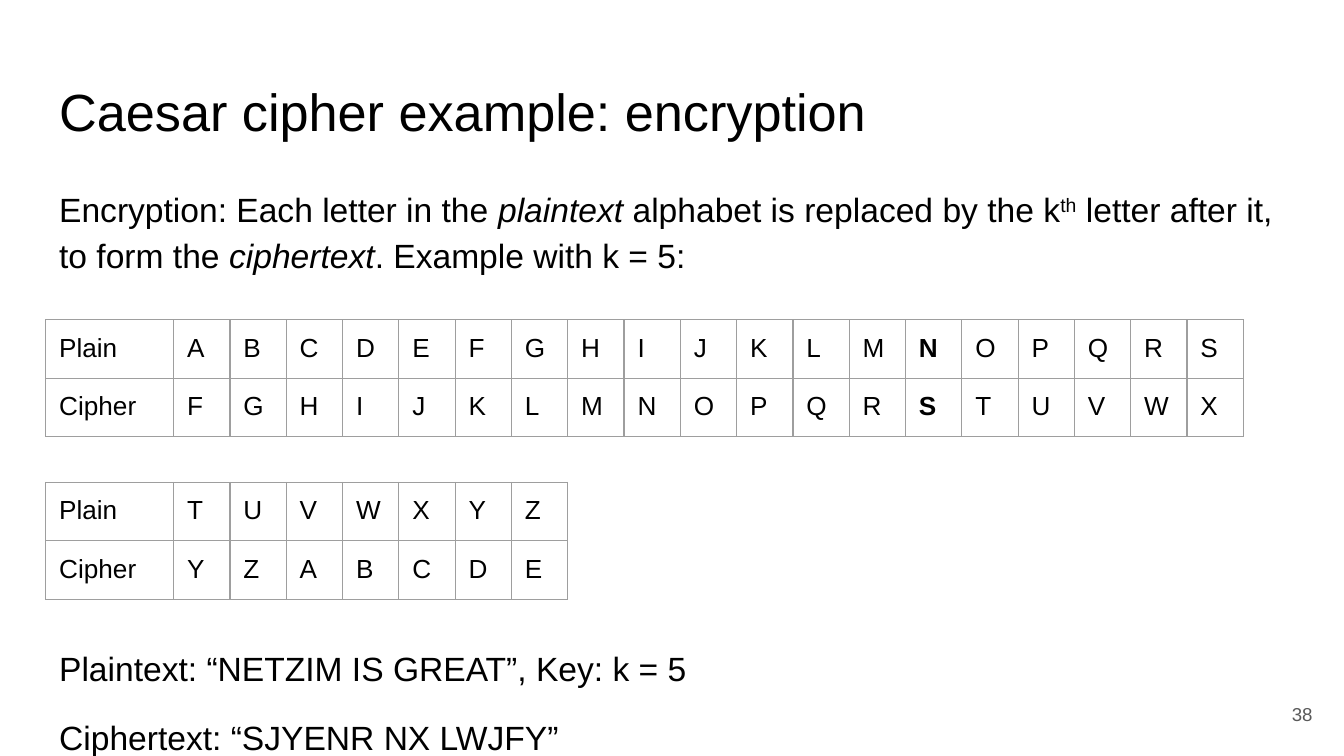
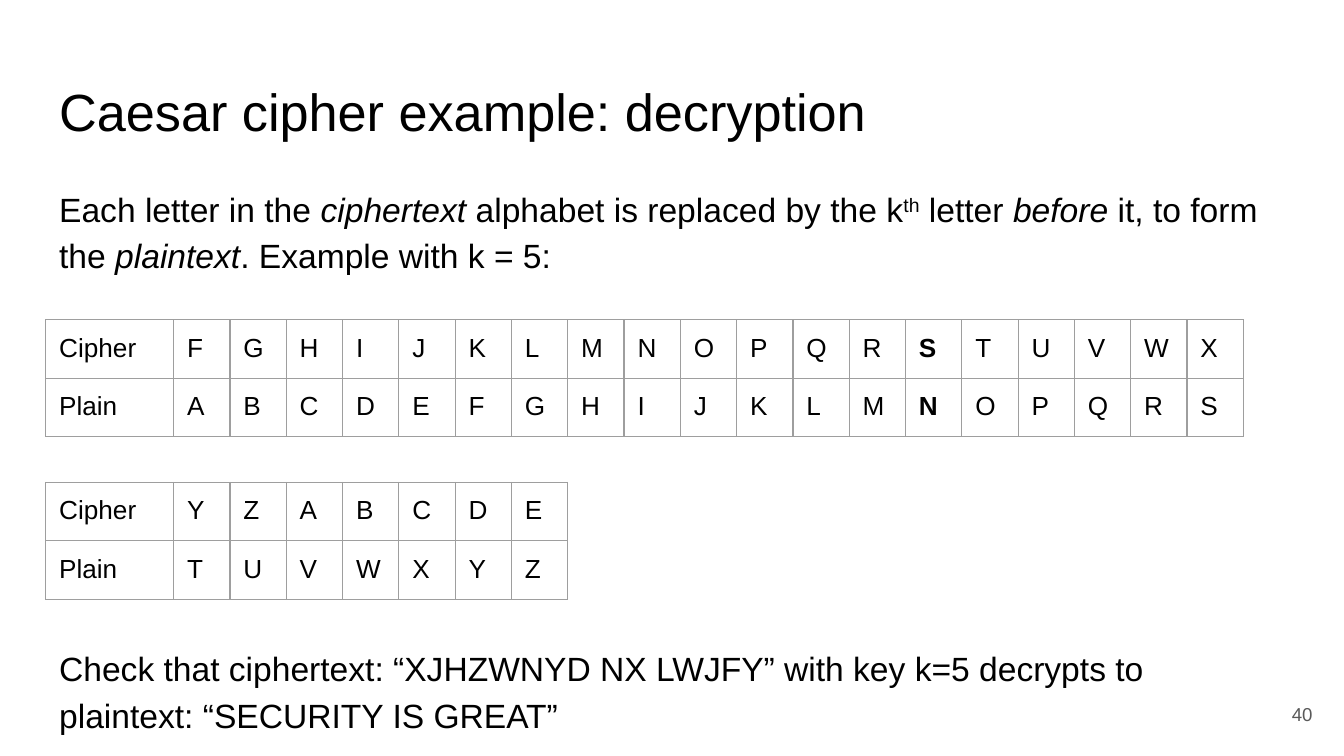
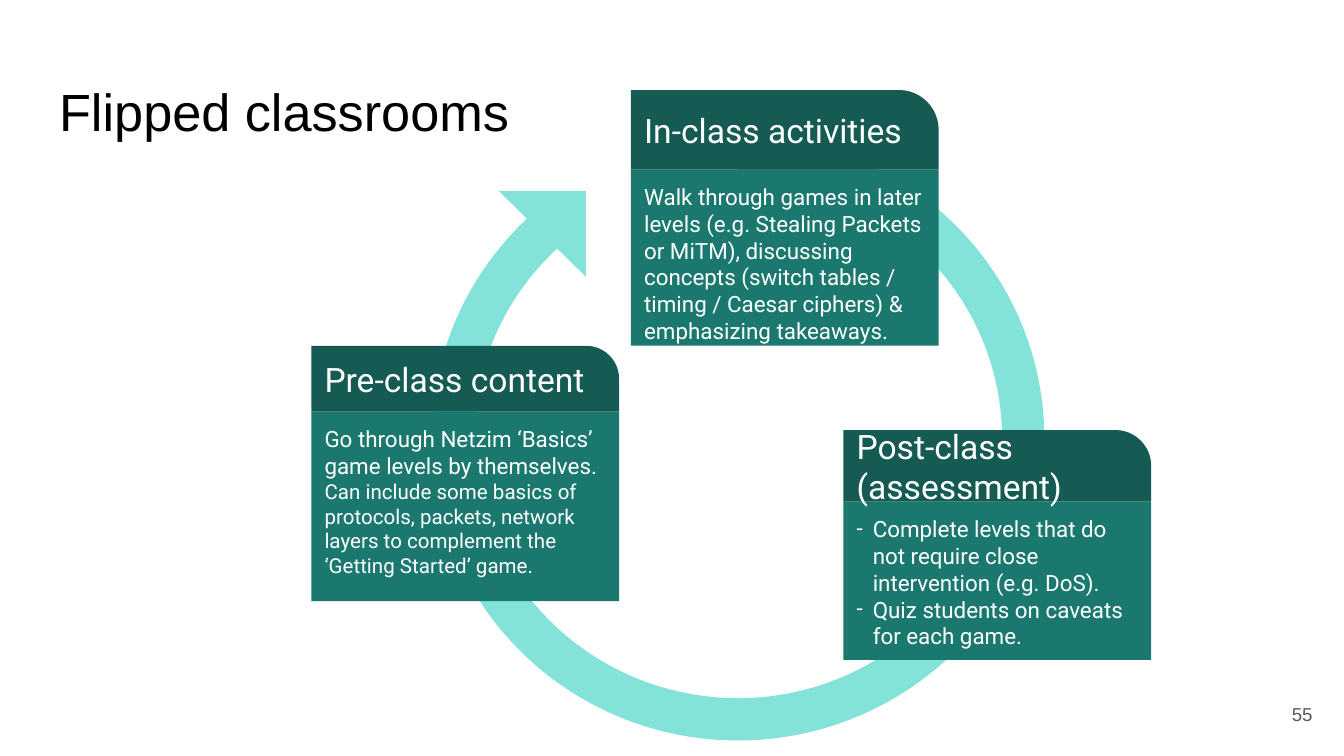
from collections import namedtuple

from lxml.etree import SubElement
from pptx import Presentation
from pptx.dml.color import RGBColor as Rgb
from pptx.enum.shapes import MSO_SHAPE as Kind
from pptx.enum.text import MSO_ANCHOR as Anchor, MSO_AUTO_SIZE as Fit, PP_ALIGN as Align
from pptx.oxml import parse_xml
from pptx.oxml.ns import nsdecls, qn
from pptx.util import Inches, Pt

BLACK = Rgb(0x00, 0x00, 0x00)
WHITE = Rgb(0xFF, 0xFF, 0xFF)
GREY = Rgb(0x59, 0x59, 0x59)
RULE = Rgb(0x9E, 0x9E, 0x9E)
MINT = Rgb(0x83, 0xE3, 0xD9)
TEAL = Rgb(0x1B, 0x78, 0x6E)
DARK = Rgb(0x15, 0x5B, 0x54)

SANS, CARD_FONT = "Arial", "Roboto"
TITLE_LAYOUT, LIST_LAYOUT = 5, 1

# The grid has 100 columns and 56.25 rows, each a tenth of an inch.
COLS, ROWS = 100, 56.25
Box = namedtuple("Box", "x y w h")

TITLE = Box(3.4, 4.9, 93.2, 6.3)
BODY = Box(3.4, 12.6, 93.2, 37.4)
NUMBER = Box(92.65, 51, 6, 4.3)
TABLE_X, TABLE_TOPS = 3.4, (23.8, 35.9)
LABEL_W, LETTER_W, ROW_H = 9.52, 4.19, 4.34
PAD = 1

KEY = 5
ALPHABET = "ABCDEFGHIJKLMNOPQRSTUVWXYZ"
SPLIT = 19
MARKED = "N"
TABLE_GAP = 196.5  # points between the rule and the example, spanning both tables


def grid(n):
    return Inches(n / 10)


def emus(box):
    return [grid(n) for n in box]


def place(shape, box):
    shape.left, shape.top, shape.width, shape.height = emus(box)


def style(para, size, color=BLACK, face=SANS, bold=None):
    font = para.font
    font.name, font.size, font.bold = face, Pt(size), bold
    font.color.rgb = color


def frame(shape, anchor=Anchor.TOP):
    """Give the text frame of a shape its margins and anchor."""
    text = shape.text_frame
    text.word_wrap = True
    text.auto_size = Fit.NONE
    text.vertical_anchor = anchor
    text.margin_left = text.margin_right = grid(PAD)
    text.margin_top = text.margin_bottom = grid(PAD)
    return text


def paras(text, count):
    """Return the first paragraph of a frame and as many new ones as needed."""
    return [text.paragraphs[0]] + [text.add_paragraph() for _ in range(count - 1)]


def indent(para, left, hang, bullet=None):
    props = para._p.get_or_add_pPr()
    props.set("marL", str(grid(left)))
    props.set("indent", str(grid(hang)))
    if bullet:
        SubElement(props, qn("a:buFont")).set("typeface", CARD_FONT)
        SubElement(props, qn("a:buChar")).set("char", bullet)
    else:
        SubElement(props, qn("a:buNone"))


def start(deck, layout, title, number):
    """Add a slide with its title and number."""
    slide = deck.slides.add_slide(deck.slide_layouts[layout])
    head = slide.shapes.title
    place(head, TITLE)
    para = frame(head).paragraphs[0]
    para.text, para.alignment = title, Align.LEFT
    style(para, 28)

    note = slide.shapes.add_textbox(*emus(NUMBER))
    para = frame(note, Anchor.MIDDLE).paragraphs[0]
    para.text, para.alignment = str(number), Align.RIGHT
    style(para, 10, GREY)
    return slide


def add_runs(para, parts):
    """Add (words, mark) parts, where a mark is "", "italic" or "raised"."""
    for words, mark in parts:
        run = para.add_run()
        run.text = words
        if mark == "italic":
            run.font.italic = True
        elif mark == "raised":
            run._r.get_or_add_rPr().set("baseline", "30000")


def fill_body(slide, box, rule, lines):
    body = slide.placeholders[1]
    place(body, box)
    items = [rule] + [[(line, "")] for line in lines]
    gaps = [0, TABLE_GAP] + [12] * (len(lines) - 1)
    for para, parts, gap in zip(paras(frame(body), len(items)), items, gaps):
        indent(para, 0, 0)
        para.line_spacing = 1.15
        para.space_before = Pt(gap)
        add_runs(para, parts)
        style(para, 18)


def outline(cell):
    props = cell._tc.get_or_add_tcPr()
    for i, side in enumerate("LRTB"):
        props.insert(i, parse_xml(
            f'<a:ln{side} {nsdecls("a")} w="{Pt(0.75)}"><a:solidFill>'
            f'<a:srgbClr val="{RULE}"/></a:solidFill></a:ln{side}>'))


def add_letters(slide, x, y, rows, marked):
    """Draw labelled rows of letters, with one column in bold."""
    count = len(rows[0][1])
    box = Box(x, y, LABEL_W + count * LETTER_W, len(rows) * ROW_H)
    table = slide.shapes.add_table(len(rows), count + 1, *emus(box)).table
    table.first_row = table.horz_banding = False
    for c, column in enumerate(table.columns):
        column.width = grid(LETTER_W if c else LABEL_W)
    for r, (label, letters) in enumerate(rows):
        table.rows[r].height = grid(ROW_H)
        for c, word in enumerate([label, *letters]):
            cell = table.cell(r, c)
            cell.margin_left = cell.margin_right = grid(PAD)
            cell.margin_top = cell.margin_bottom = grid(PAD)
            cell.fill.background()
            outline(cell)
            para = cell.text_frame.paragraphs[0]
            para.text = word
            style(para, 14, bold=c == marked)


def cipher_slide(deck, number, title, rule, lines, decrypt=False):
    slide = start(deck, LIST_LAYOUT, title, number)
    fill_body(slide, BODY, rule, lines)
    shifted = ALPHABET[KEY:] + ALPHABET[:KEY]
    marked = ALPHABET.index(MARKED) + 1
    parts = (slice(0, SPLIT), marked), (slice(SPLIT, None), None)
    for y, (part, bold) in zip(TABLE_TOPS, parts):
        rows = [("Plain", ALPHABET[part]), ("Cipher", shifted[part])]
        if decrypt:
            rows.reverse()
        add_letters(slide, TABLE_X, y, rows, bold)


def add_solid(group, kind, box, color):
    shape = group.shapes.add_shape(kind, *emus(box))
    shape.shadow.inherit = False
    shape.fill.solid()
    shape.fill.fore_color.rgb = color
    shape.line.fill.background()
    return shape


def add_cycle(slide, box):
    """Draw the ring and the arrowhead at its open end."""
    group = slide.shapes.add_group_shape()
    ring = add_solid(group, Kind.BLOCK_ARC, box, MINT)
    for i, value in enumerate((54, 30.13, 0.07)):
        ring.adjustments[i] = value
    tip = add_solid(group, Kind.RIGHT_TRIANGLE,
                    Box(box.x + 5, box.y + 4.1, 6.5, 6.4), MINT)
    ring.rotation = tip.rotation = 180


def add_card(slide, box, head_h, title, lines, bullet=None):
    """Draw a titled card; lines are (words, size) pairs."""
    group = slide.shapes.add_group_shape()
    low = Box(box.x, box.y + head_h, box.w, box.h - head_h)
    text = frame(add_solid(group, Kind.RECTANGLE, low, TEAL))
    for para, (words, size) in zip(paras(text, len(lines)), lines):
        para.text, para.alignment = words, Align.LEFT
        if bullet:
            indent(para, 1.2, -1.5, bullet)
        style(para, size, WHITE, CARD_FONT)

    head = add_solid(group, Kind.ROUND_1_RECTANGLE, box._replace(h=head_h), DARK)
    head.adjustments[0] = 0.5
    para = frame(head, Anchor.MIDDLE).paragraphs[0]
    para.text, para.alignment = title, Align.LEFT
    style(para, 18, WHITE, CARD_FONT)


def cycle_slide(deck, number):
    slide = start(deck, TITLE_LAYOUT, "Flipped classrooms", number)
    add_cycle(slide, Box(32.1, 10.1, 45.6, 45))
    add_card(slide, Box(46.94, 6.7, 22.9, 19.03), 5.92, "In-class activities", [
        ("Walk through games in later levels (e.g. Stealing Packets or MiTM), "
         "discussing concepts (switch tables / timing / Caesar ciphers) & "
         "emphasizing takeaways.", 12)])
    add_card(slide, Box(23.16, 25.73, 22.9, 19), 4.9, "Pre-class content", [
        ("Go through Netzim ‘Basics’ game levels by themselves.", 12),
        ("Can include some basics of protocols, packets, network layers to "
         "complement the ‘Getting Started’ game.", 11)])
    add_card(slide, Box(62.75, 32, 22.9, 17.1), 5.33, "Post-class (assessment)", [
        ("Complete levels that do not require close intervention (e.g. DoS).", 12),
        ("Quiz students on caveats for each game.", 12)], bullet="-")


def main():
    deck = Presentation()
    deck.slide_width, deck.slide_height = grid(COLS), grid(ROWS)
    cipher_slide(
        deck, 38, "Caesar cipher example: encryption",
        [("Encryption: Each letter in the ", ""), ("plaintext ", "italic"),
         ("alphabet is replaced by the k", ""), ("th", "raised"),
         (" letter after it, to form the ", ""), ("ciphertext", "italic"),
         (". Example with k = 5:", "")],
        ["Plaintext: “NETZIM IS GREAT”, Key: k = 5",
         "Ciphertext: “SJYENR NX LWJFY”"])
    cipher_slide(
        deck, 40, "Caesar cipher example: decryption",
        [("Each letter in the ", ""), ("ciphertext ", "italic"),
         ("alphabet is replaced by the k", ""), ("th", "raised"),
         (" letter ", ""), ("before", "italic"), (" it, to form the ", ""),
         ("plaintext", "italic"), (". Example with k = 5:", "")],
        ["Check that ciphertext: “XJHZWNYD NX LWJFY” with key k=5 decrypts to "
         "plaintext: “SECURITY IS GREAT”"],
        decrypt=True)
    cycle_slide(deck, 55)
    deck.save("out.pptx")


if __name__ == "__main__":
    main()
